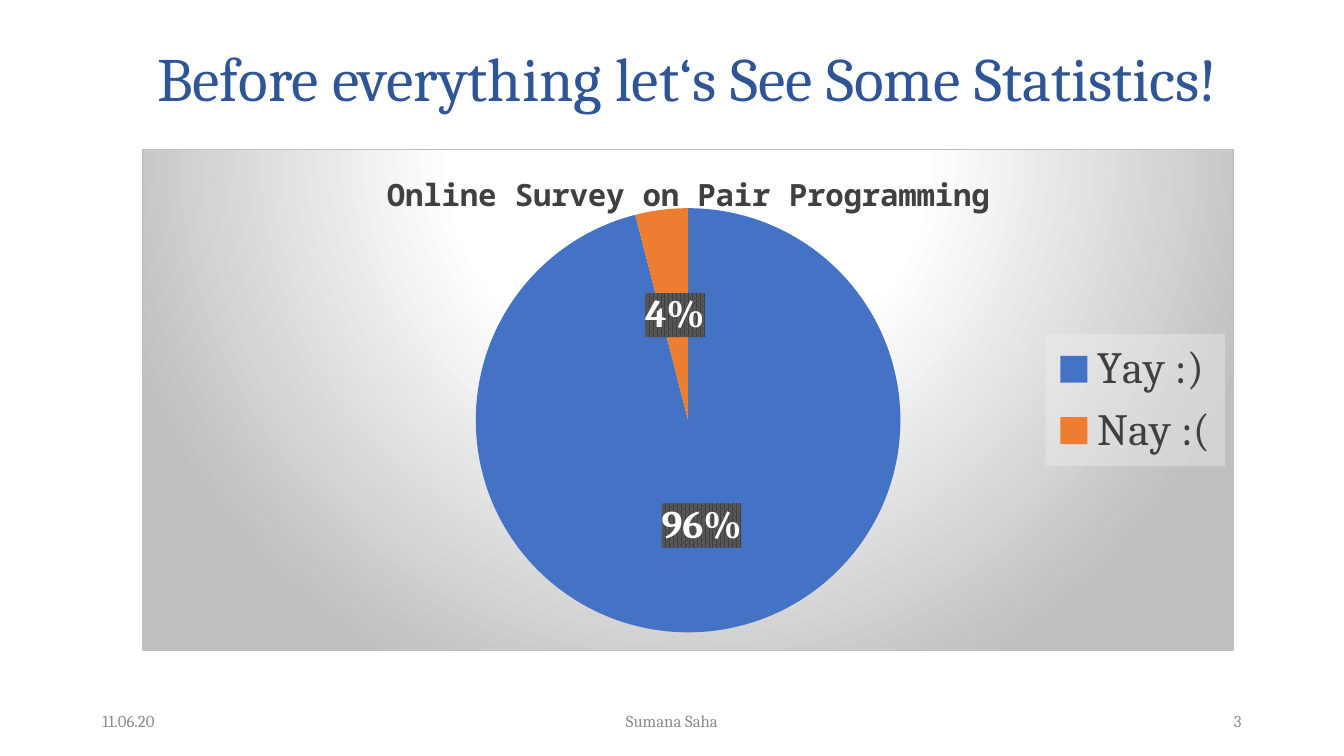
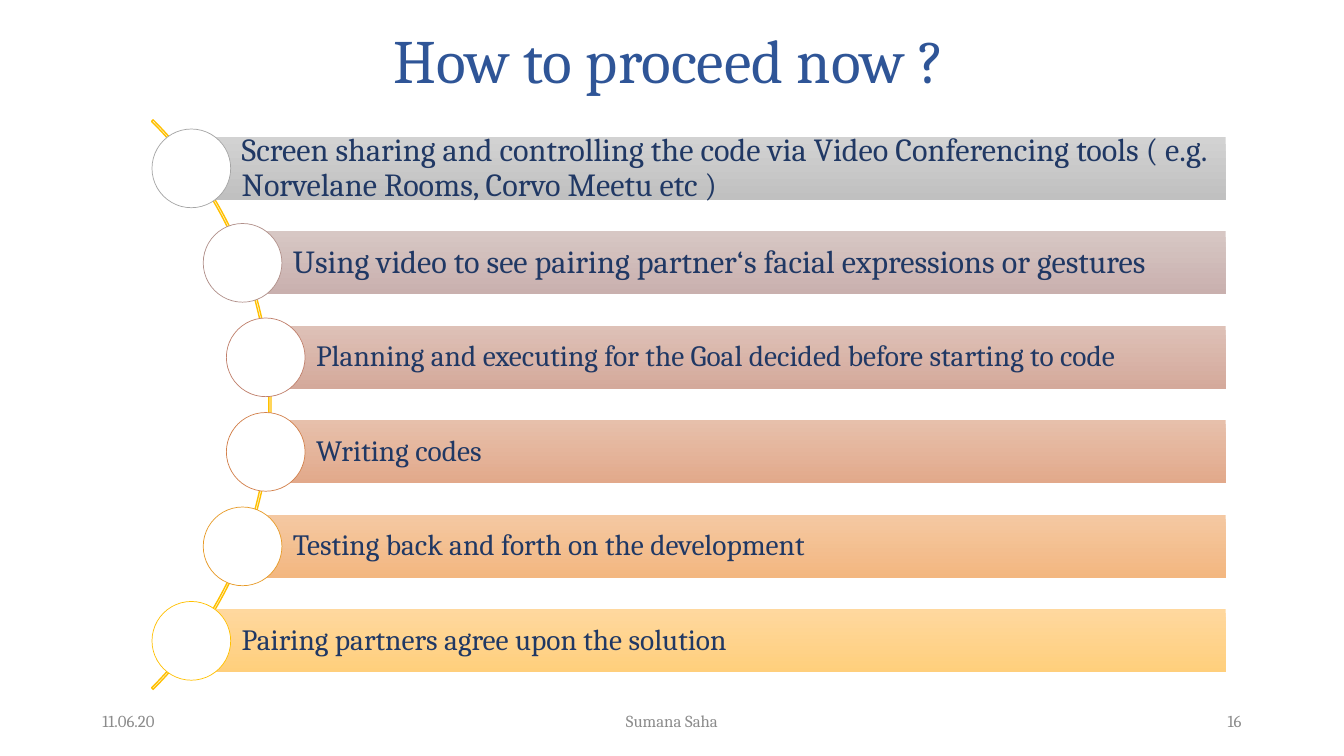
from dataclasses import dataclass
from math import sqrt

from pptx import Presentation
from pptx.chart.data import CategoryChartData
from pptx.dml.color import RGBColor
from pptx.enum.chart import XL_CHART_TYPE, XL_LABEL_POSITION, XL_LEGEND_POSITION
from pptx.enum.shapes import MSO_SHAPE
from pptx.enum.text import MSO_ANCHOR, MSO_AUTO_SIZE, PP_ALIGN
from pptx.oxml import parse_xml
from pptx.oxml.ns import nsdecls, qn
from pptx.util import Pt


@dataclass(frozen=True)
class Theme:
    font: str = "Cambria"
    mono: str = "Noto Sans Mono"
    title: str = "2F5597"
    text: str = "203864"
    footer: str = "8C8C8C"
    chart_text: str = "404040"
    white: str = "FFFFFF"
    edge: str = "BFBFBF"
    arc: str = "FFC000"
    slices: tuple = ("4472C4", "ED7D31")
    title_size: float = 44
    footer_size: float = 12
    chart_title_size: float = 22
    label_size: float = 28
    legend_size: float = 32


@dataclass(frozen=True)
class Box:
    left: float
    top: float
    width: float
    height: float

    def emu(self) -> tuple:
        return Pt(self.left), Pt(self.top), Pt(self.width), Pt(self.height)


@dataclass(frozen=True)
class Step:
    text: str
    size: float
    top_color: str
    bottom_color: str
    ring: str


THEME = Theme()
SLIDE_W, SLIDE_H = 960, 540
FOOTER_TOP, FOOTER_H = 500.5, 28.8

CHART_BOX = Box(101.5, 106.5, 780, 358.5)
PLOT_LAYOUT = {"x": 0.096, "y": 0.117, "w": 0.808, "h": 0.847}

ARC_X, ARC_Y, ARC_SIZE = -94, 289, 575.3
RING_RADIUS, RING_SIZE = 285.8, 56.2
STEP_PITCH, BAR_H, BAR_RIGHT = 67.5, 44.8, 875.5

STEPS = (
    Step("Screen sharing and controlling the code via Video Conferencing tools "
         "( e.g. Norvelane Rooms, Corvo Meetu etc )", 23, "D2D2D2", "C0C0C0", "A5A5A5"),
    Step("Using video to see pairing partner‘s facial expressions or gestures",
         23, "D7C7C4", "C9B0AE", "B1908A"),
    Step("Planning and executing for the Goal decided before starting to code",
         21, "DEC1B7", "D4A99B", "C0806C"),
    Step("Writing codes", 21, "E7C0AB", "E2A98B", "D2804B"),
    Step("Testing back and forth on the development", 21, "F4C8A2", "F3B780", "E79A27"),
    Step("Pairing partners agree upon the solution", 21, "FFD89E", "FFCF7C", "FFC000"),
)


def style_font(font, size: float, color: str, bold: bool = False, name: str = THEME.font) -> None:
    font.name, font.size, font.bold = name, Pt(size), bold
    font.color.rgb = RGBColor.from_string(color)


def write(tf, text: str, size: float, color: str, align=PP_ALIGN.LEFT, spacing: float = 1.0) -> None:
    """Fill a text frame with one vertically centred paragraph."""
    tf.word_wrap = True
    tf.auto_size = MSO_AUTO_SIZE.NONE
    tf.vertical_anchor = MSO_ANCHOR.MIDDLE
    p = tf.paragraphs[0]
    p.alignment, p.line_spacing = align, spacing
    r = p.add_run()
    r.text = text
    style_font(r.font, size, color)


def add_slide(prs, title: str, box: Box, number: int):
    """Add a slide with its title and the three footer fields."""
    s = prs.slides.add_slide(prs.slide_layouts[5])
    sp = s.shapes.title
    sp.left, sp.top, sp.width, sp.height = box.emu()
    write(sp.text_frame, title, THEME.title_size, THEME.title, PP_ALIGN.CENTER, 0.9)
    footers = (
        ("11.06.20", 66, 216, PP_ALIGN.LEFT),
        ("Sumana Saha", 318, 324, PP_ALIGN.CENTER),
        (str(number), 678, 216, PP_ALIGN.RIGHT),
    )
    for text, left, width, align in footers:
        tb = s.shapes.add_textbox(*Box(left, FOOTER_TOP, width, FOOTER_H).emu())
        write(tb.text_frame, text, THEME.footer_size, THEME.footer, align)
    return s


def set_chart_fill(element, content: str) -> None:
    """Put shape properties in front of the text properties of a chart part."""
    sp_pr = parse_xml(f'<c:spPr {nsdecls("c", "a")}>{content}</c:spPr>')
    element.find(qn("c:txPr")).addprevious(sp_pr)


def rgb_xml(color: str, extra: str = "") -> str:
    return f'<a:srgbClr val="{color}">{extra}</a:srgbClr>'


def set_plot_layout(chart) -> None:
    area = chart._chartSpace.chart.plotArea
    for old in area.findall(qn("c:layout")):
        area.remove(old)
    modes = '<c:xMode val="edge"/><c:yMode val="edge"/>'
    sizes = "".join(f'<c:{key} val="{value}"/>' for key, value in PLOT_LAYOUT.items())
    area.insert(0, parse_xml(
        f'<c:layout {nsdecls("c")}><c:manualLayout><c:layoutTarget val="inner"/>'
        f"{modes}{sizes}</c:manualLayout></c:layout>"))


def add_survey_chart(s) -> None:
    name = "Online Survey on Pair Programming"
    data = CategoryChartData()
    data.categories = ["Yay :)", "Nay :("]
    data.add_series(name, (96, 4))
    chart = s.shapes.add_chart(XL_CHART_TYPE.PIE, *CHART_BOX.emu(), data).chart
    style_font(chart.font, 10, "000000")
    stops = "".join(f'<a:gs pos="{pos}">{rgb_xml(color)}</a:gs>' for pos, color in
                    ((0, THEME.white), (39000, THEME.white), (100000, THEME.edge)))
    set_chart_fill(
        chart._chartSpace,
        f'<a:gradFill><a:gsLst>{stops}</a:gsLst><a:path path="circle">'
        '<a:fillToRect l="50000" t="-80000" r="50000" b="180000"/></a:path></a:gradFill>'
        f'<a:ln w="9525"><a:solidFill>{rgb_xml(THEME.edge)}</a:solidFill></a:ln>')
    set_plot_layout(chart)

    chart.has_title = True
    r = chart.chart_title.text_frame.paragraphs[0].add_run()
    r.text = name
    style_font(r.font, THEME.chart_title_size, THEME.chart_text, True, THEME.mono)

    chart.has_legend = True
    legend = chart.legend
    legend.position = XL_LEGEND_POSITION.RIGHT
    legend.include_in_layout = False
    style_font(legend.font, THEME.legend_size, THEME.chart_text)
    legend_fill = rgb_xml("F2F2F2", '<a:alpha val="39000"/>')
    set_chart_fill(legend._element, f"<a:solidFill>{legend_fill}</a:solidFill>")

    plot = chart.plots[0]
    plot.vary_by_categories = True
    for i, color in enumerate(THEME.slices):
        fill = plot.series[0].points[i].format.fill
        fill.solid()
        fill.fore_color.rgb = RGBColor.from_string(color)

    plot.has_data_labels = True
    labels = plot.data_labels
    labels.show_percentage, labels.show_value = True, False
    labels.number_format, labels.number_format_is_linked = "0%", False
    labels.position = XL_LABEL_POSITION.CENTER
    style_font(labels.font, THEME.label_size, THEME.white, True)
    set_chart_fill(
        labels._element,
        f'<a:pattFill prst="pct75"><a:fgClr>{rgb_xml("404040")}</a:fgClr>'
        f'<a:bgClr>{rgb_xml("595959")}</a:bgClr></a:pattFill>')


def add_shape(s, kind, box: Box):
    sp = s.shapes.add_shape(kind, *box.emu())
    sp.shadow.inherit = False
    return sp


def set_line(sp, color: str, width: float) -> None:
    sp.line.color.rgb = RGBColor.from_string(color)
    sp.line.width = Pt(width)


def add_arc(s) -> None:
    half = ARC_SIZE / 2
    arc = add_shape(s, MSO_SHAPE.BLOCK_ARC, Box(ARC_X - half, ARC_Y - half, ARC_SIZE, ARC_SIZE))
    for i, value in enumerate((189, 27, 0.0027)):
        arc.adjustments[i] = value
    arc.fill.background()
    set_line(arc, THEME.arc, 1)


def add_step(s, step: Step, offset: float) -> None:
    """Draw a bar and its ring, centred on the arc at a vertical offset from its middle."""
    x = ARC_X + sqrt(RING_RADIUS ** 2 - offset ** 2)
    y = ARC_Y + offset
    bar = add_shape(s, MSO_SHAPE.RECTANGLE, Box(x, y - BAR_H / 2, BAR_RIGHT - x, BAR_H))
    bar.fill.gradient()
    bar.fill.gradient_angle = 270
    for stop, color in zip(bar.fill.gradient_stops, (step.top_color, step.bottom_color)):
        stop.color.rgb = RGBColor.from_string(color)
    bar.line.fill.background()
    tf = bar.text_frame
    tf.margin_left = Pt(36)
    tf.margin_top = tf.margin_right = tf.margin_bottom = Pt(4.5)
    write(tf, step.text, step.size, THEME.text, spacing=0.9)

    half = RING_SIZE / 2
    ring = add_shape(s, MSO_SHAPE.OVAL, Box(x - half, y - half, RING_SIZE, RING_SIZE))
    ring.fill.solid()
    ring.fill.fore_color.rgb = RGBColor.from_string(THEME.white)
    set_line(ring, step.ring, 0.5)


def main() -> None:
    prs = Presentation()
    prs.slide_width, prs.slide_height = Pt(SLIDE_W), Pt(SLIDE_H)

    s = add_slide(prs, "Before everything let‘s See Some Statistics!", Box(56, 0, 870.5, 116.6), 3)
    add_survey_chart(s)

    s = add_slide(prs, "How to proceed now ?", Box(88, 0, 780, 90.7), 16)
    add_arc(s)
    for i, step in enumerate(STEPS):
        add_step(s, step, (i - (len(STEPS) - 1) / 2) * STEP_PITCH)

    prs.save("out.pptx")


if __name__ == "__main__":
    main()
